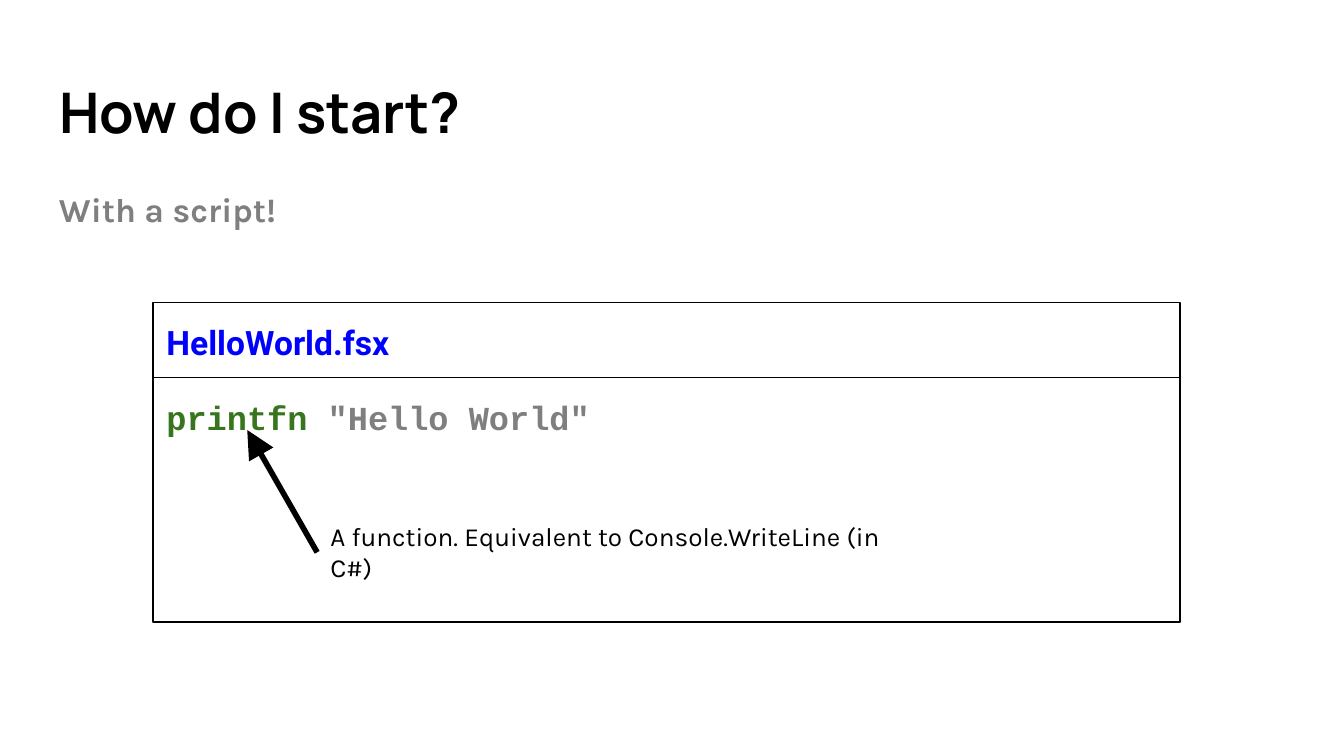
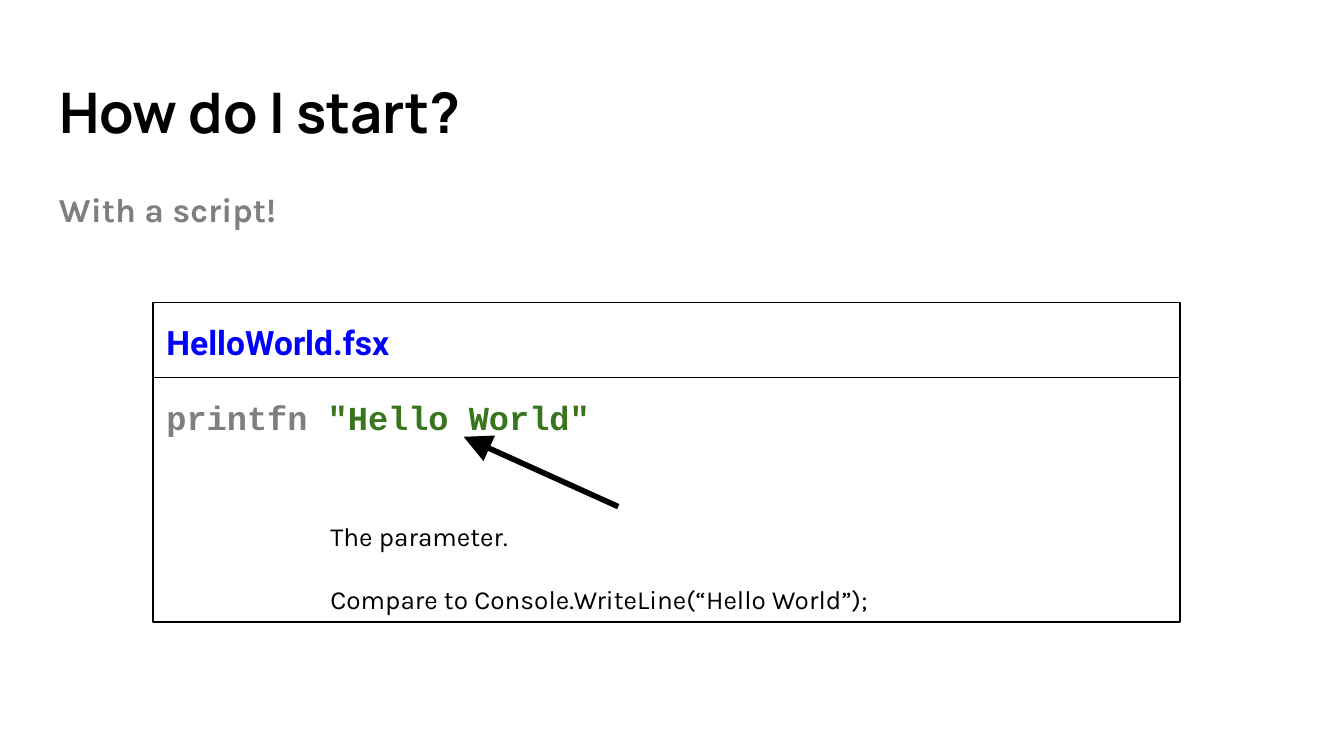
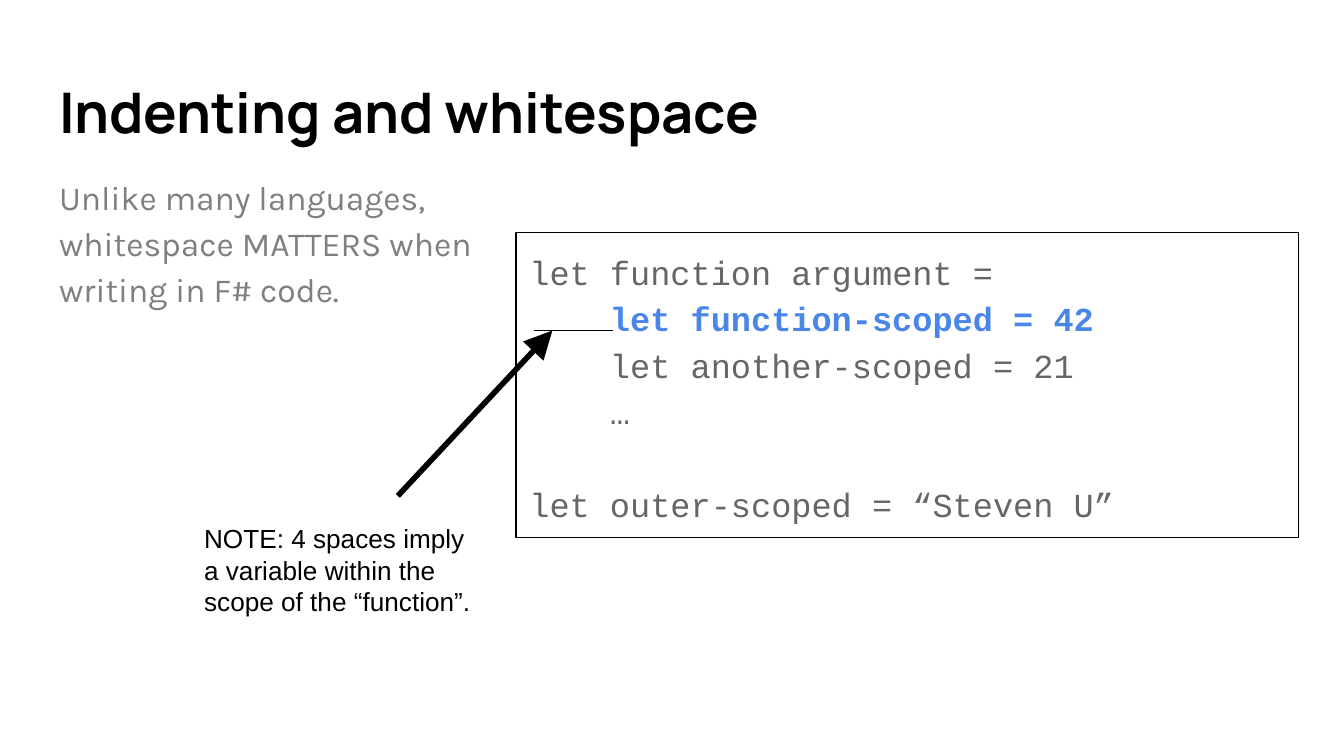
from copy import deepcopy

from pptx import Presentation
from pptx.dml.color import RGBColor
from pptx.enum.shapes import MSO_CONNECTOR, MSO_SHAPE
from pptx.enum.text import MSO_ANCHOR, PP_ALIGN
from pptx.oxml.ns import qn
from pptx.util import Inches, Pt
from lxml import etree

BLACK = RGBColor(0x00, 0x00, 0x00)
GRAY = RGBColor(0x7F, 0x7F, 0x7F)
SLATE = RGBColor(0x66, 0x66, 0x66)
GREEN = RGBColor(0x38, 0x76, 0x1D)
BLUE = RGBColor(0x00, 0x00, 0xFF)
SKY = RGBColor(0x4A, 0x86, 0xE8)

STRAIGHT = MSO_CONNECTOR.STRAIGHT
RECT = MSO_SHAPE.RECTANGLE
TOP, MIDDLE = MSO_ANCHOR.TOP, MSO_ANCHOR.MIDDLE
LEFT = PP_ALIGN.LEFT
COLS = 100
EDGE = 3.41
THIN, THICK = 0.75, 3
CODE, TEXT = "Courier New", "Karla"


class Deck:
    def __init__(self):
        self.prs = Presentation()
        self.prs.slide_width = Inches(10)
        self.prs.slide_height = self.prs.slide_width * 9 // 16
        self.unit = self.prs.slide_width / COLS

    def grid(self, *cells):
        return [round(cell * self.unit) for cell in cells]

    def page(self, title):
        self.slide = self.prs.slides.add_slide(self.prs.slide_layouts[6])
        self.text((EDGE, 4.9, 93.2, 6.8), [[(title, BLACK, True)]], "Manrope", 30, anchor=MIDDLE)

    def fill(self, shape, lines, font, size, leading=1.0, anchor=TOP):
        frame = shape.text_frame
        frame.word_wrap = True
        frame.vertical_anchor = anchor
        frame.margin_left = frame.margin_right = Inches(0.1)
        frame.margin_top = frame.margin_bottom = Inches(0.1)
        para = frame.paragraphs[0]
        para.alignment = LEFT
        para.line_spacing = leading
        for i, runs in enumerate(lines):
            if i:
                para.add_line_break()
                para._p[-1].append(deepcopy(run._r.rPr))
            for words, color, bold in runs:
                run = para.add_run()
                run.text = words
                run.font.name = font
                run.font.size = Pt(size)
                run.font.bold = bold
                run.font.color.rgb = color

    def text(self, area, lines, font, size, **style):
        box = self.slide.shapes.add_textbox(*self.grid(*area))
        self.fill(box, lines, font, size, **style)
        return box

    def body(self, area, words, bold=False):
        self.text(area, [[(words, GRAY, bold)]], TEXT, 18, leading=1.15)

    def note(self, area, words, font=TEXT):
        lines = [[(line, BLACK, False)] if line else [] for line in words.split("\n")]
        return self.text(area, lines, font, 14)

    def panel(self, area, lines, font=CODE):
        box = self.slide.shapes.add_shape(RECT, *self.grid(*area))
        box.shadow.inherit = False
        box.fill.background()
        box.line.color.rgb = BLACK
        box.line.width = Pt(THIN)
        self.fill(box, lines, font, 18, leading=1.15)

    def line(self, start, end, width=THIN):
        line = self.slide.shapes.add_connector(STRAIGHT, *self.grid(*start, *end))
        line.line.color.rgb = BLACK
        line.line.width = Pt(width)
        etree.SubElement(line._element.spPr, qn("a:effectLst"))
        return line

    def arrow(self, start, end):
        line = self.line(start, end, THICK)
        etree.SubElement(line.line._get_or_add_ln(), qn("a:tailEnd"),
                         type="triangle", w="lg", len="lg")
        return line

    def script(self, call, words, side, start, end):
        self.page("How do I start?")
        self.body((EDGE, 12.6, 31.4, 5.6), "With a script!", True)
        self.panel((11.4, 28.1, 76.4, 18.2), [call])
        self.panel((11.4, 22.5, 76.4, 5.6), [[("HelloWorld.fsx", BLUE, True)]], "Roboto")
        note = self.note((23.6, 37.7, 44.8, 6.8), words)
        self.arrow(start, end).begin_connect(note, side)


def main():
    deck = Deck()
    deck.script(
        [("printfn", GREEN, True), (' "Hello World"', GRAY, True)],
        "A function. Equivalent to Console.WriteLine (in C#)",
        1, (23.6, 41.1), (18.4, 32))
    deck.script(
        [("printfn ", GRAY, True), ('"Hello World"', GREEN, True)],
        "The parameter.\n\nCompare to Console.WriteLine(“Hello World”);",
        0, (46, 37.7), (34.5, 32.5))

    deck.page("Indenting and whitespace")
    deck.panel((38.4, 17.3, 58.2, 22.7), [
        [("let function argument = ", SLATE, False)],
        [("    ", SLATE, False), ("let function-scoped = 42", SKY, True)],
        [("    let another-scoped = 21", SLATE, False)],
        [("    …", SLATE, False)],
        [],
        [("let outer-scoped = “Steven U”", SLATE, False)],
    ])
    deck.body((EDGE, 11.7, 37.9, 37.4),
              "Unlike many languages, whitespace MATTERS when writing in F# code.")
    deck.arrow((29.6, 36.9), (41.1, 24.6))
    deck.note((14.2, 37.9, 21.9, 8.6),
              "NOTE: 4 spaces imply a variable within the scope of the “function”.", "Arial")
    deck.line((39.7, 24.6), (45.6, 24.6))
    deck.prs.save("out.pptx")


if __name__ == "__main__":
    main()
